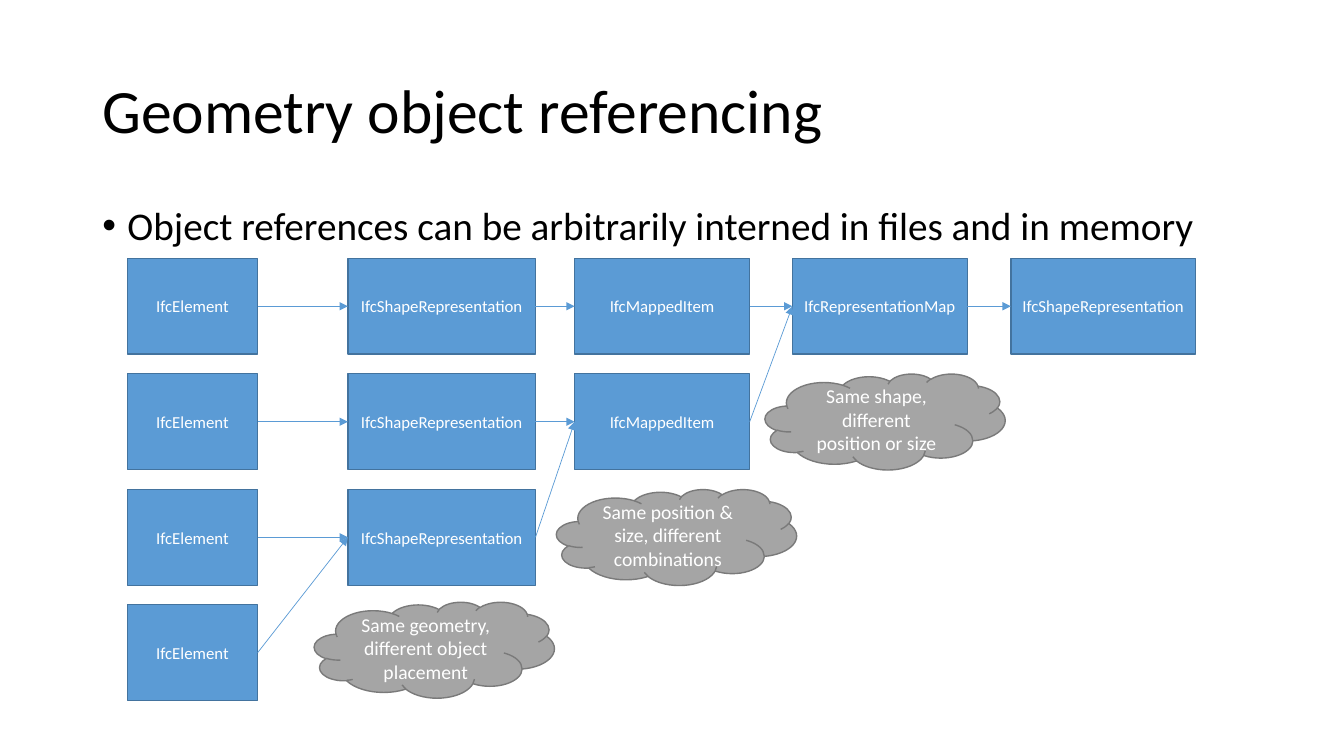
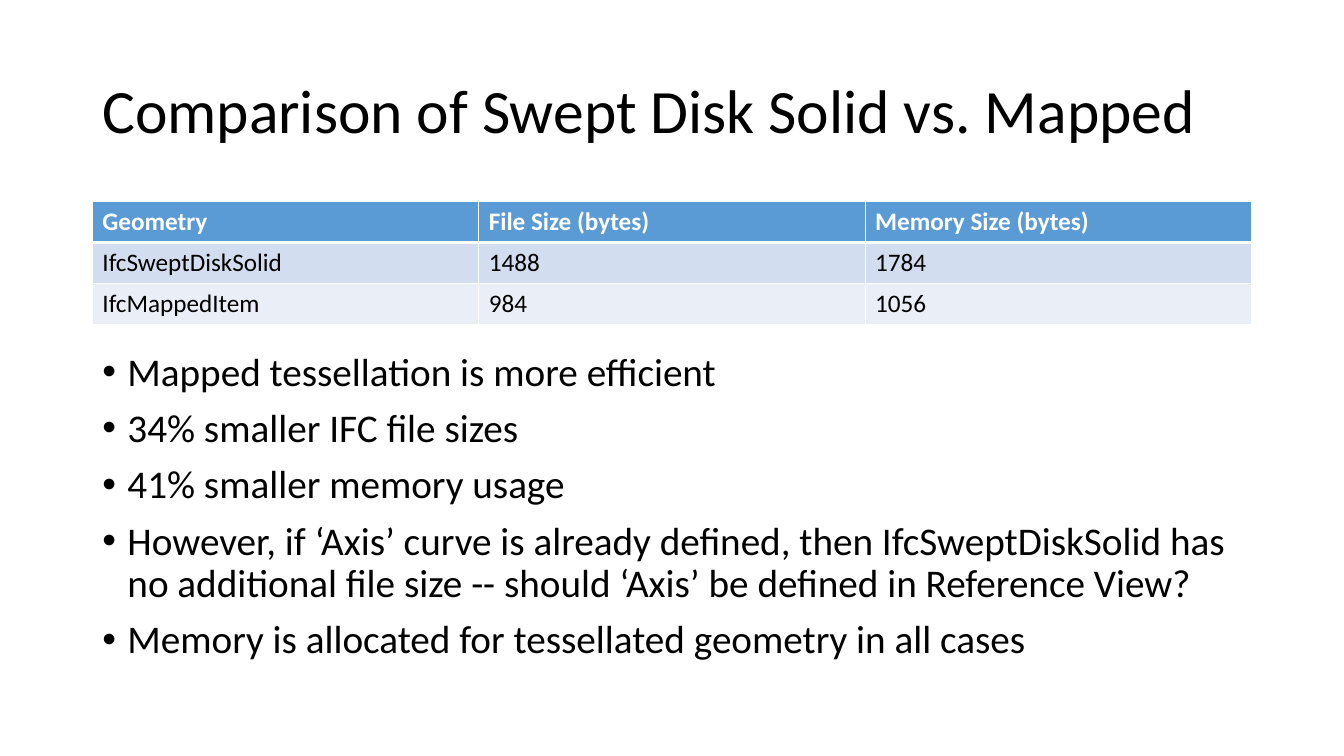
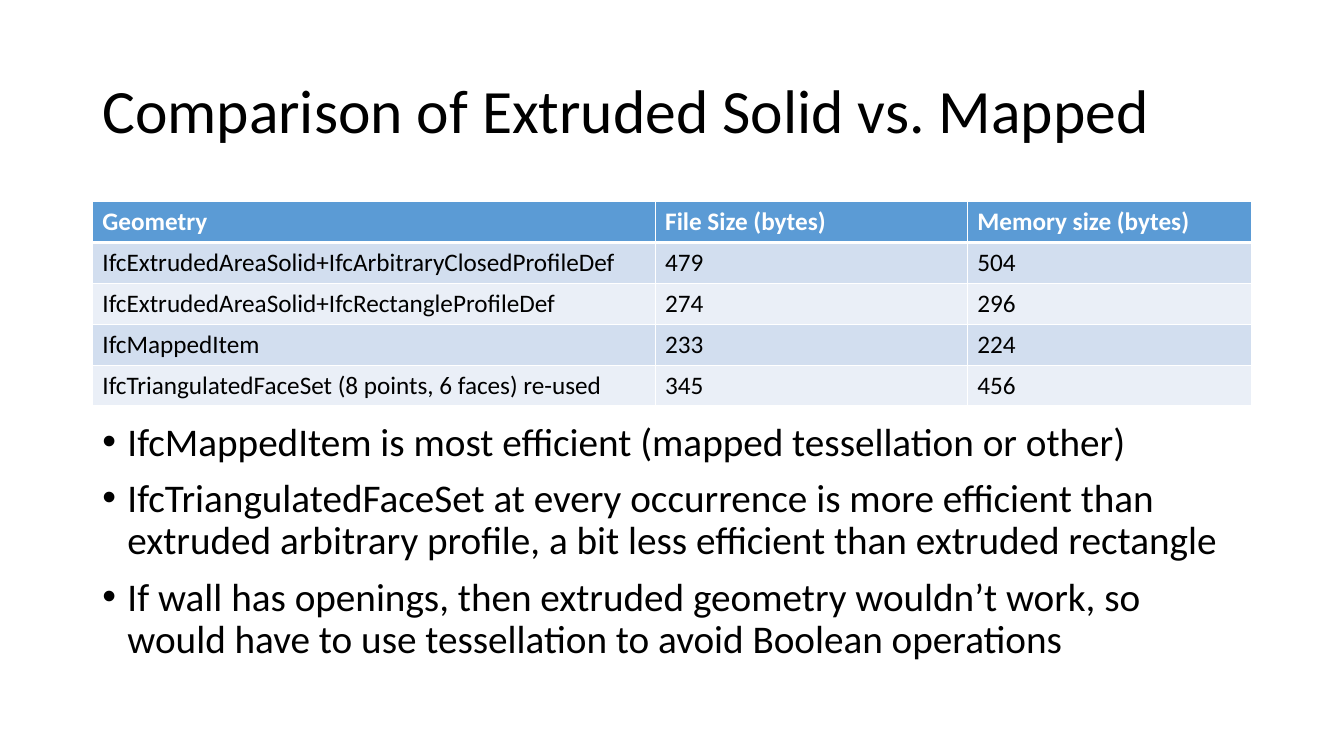
from collections import namedtuple

from lxml import etree
from pptx import Presentation
from pptx.dml.color import RGBColor
from pptx.enum.shapes import MSO_CONNECTOR, MSO_SHAPE
from pptx.enum.text import MSO_ANCHOR, PP_ALIGN
from pptx.oxml.ns import qn
from pptx.util import Pt

RECTANGLE, CLOUD = MSO_SHAPE.RECTANGLE, MSO_SHAPE.CLOUD
STRAIGHT = MSO_CONNECTOR.STRAIGHT
TOP, MIDDLE = MSO_ANCHOR.TOP, MSO_ANCHOR.MIDDLE
LEFT, CENTER = PP_ALIGN.LEFT, PP_ALIGN.CENTER

Box = namedtuple("Box", "left top width height")

# Shared look
FONT = "Calibri"
BLACK, WHITE = "000000", "FFFFFF"
BLUE, DARK_BLUE = "5B9BD5", "43739E"
GRAY, DARK_GRAY = "A5A5A5", "7A7A7A"
BANDS = ("D2DEEF", "EAEFF7")
TITLE_BOX = Box(66, 28.8, 828, 104.4)
CONTENT_BOX = Box(66, 144, 828, 342.7)
ROW_HEIGHT = 29.2
RIGHT_SITE, LEFT_SITE = 3, 1


def color(value):
    return RGBColor.from_string(value)


def lengths(box):
    return [Pt(value) for value in box]


def add_span(para, text, size, ink, bold=False):
    span = para.add_run()
    span.text = text
    span.font.name = FONT
    span.font.size = Pt(size)
    span.font.bold = bold
    span.font.color.rgb = color(ink)


def add_paras(frame, lines, size, ink, align=LEFT, anchor=TOP):
    frame.word_wrap = True
    frame.vertical_anchor = anchor
    for index, line in enumerate(lines):
        para = frame.add_paragraph() if index else frame.paragraphs[0]
        para.alignment = align
        add_span(para, line, size, ink)
    return frame.paragraphs


def add_title(page, box, text):
    frame = page.shapes.add_textbox(*lengths(box)).text_frame
    for para in add_paras(frame, [text], 44, BLACK, anchor=MIDDLE):
        para.line_spacing = 0.9


def add_bullets(page, box, lines):
    frame = page.shapes.add_textbox(*lengths(box)).text_frame
    for para in add_paras(frame, lines, 28, BLACK):
        para.line_spacing = 0.9
        para.space_before = Pt(10)
        settings = para._p.get_or_add_pPr()
        settings.set("marL", str(Pt(18)))
        settings.set("indent", str(Pt(-18)))
        etree.SubElement(settings, qn("a:buFont"), typeface="Arial")
        etree.SubElement(settings, qn("a:buChar"), char="•")


def add_node(page, kind, box, lines, size, fill, outline):
    node = page.shapes.add_shape(kind, *lengths(box))
    node.shadow.inherit = False
    node.fill.solid()
    node.fill.fore_color.rgb = color(fill)
    node.line.color.rgb = color(outline)
    node.line.width = Pt(1)
    add_paras(node.text_frame, lines, size, WHITE, CENTER, MIDDLE)
    return node


def add_arrow(page, source, target):
    arrow = page.shapes.add_connector(STRAIGHT, 0, 0, 0, 0)
    arrow.begin_connect(source, RIGHT_SITE)
    arrow.end_connect(target, LEFT_SITE)
    arrow.line.color.rgb = color(BLUE)
    arrow.line.width = Pt(0.5)
    etree.SubElement(arrow.line._get_or_add_ln(), qn("a:tailEnd"), type="triangle")
    etree.SubElement(arrow._element.spPr, qn("a:effectLst"))


def add_reference_diagram(page, box):
    # Column name, offset and width
    columns = [
        ("IfcElement", 0, 93),
        ("IfcShapeRepresentation", 157.5, 134),
        ("IfcMappedItem", 319.5, 125),
        ("IfcRepresentationMap", 475, 125),
        ("IfcShapeRepresentation", 631, 132),
    ]
    row_lengths = [5, 3, 2, 1]
    node_height = 68.5
    pitch = (box.height - node_height) / (len(row_lengths) - 1)

    rows = []
    for row, count in enumerate(row_lengths):
        top = box.top + row * pitch
        rows.append([
            add_node(page, RECTANGLE, Box(box.left + offset, top, width, node_height),
                     [name], 12, BLUE, DARK_BLUE)
            for name, offset, width in columns[:count]
        ])

    # Each row runs to the right, and its end joins the row above
    for row, nodes in enumerate(rows):
        for source, target in zip(nodes, nodes[1:]):
            add_arrow(page, source, target)
        if row:
            add_arrow(page, nodes[-1], rows[row - 1][len(nodes)])

    # Clouds say what the rows share
    clouds = [
        (455.5, 82.5, ["Same shape, different position or size"]),
        (306.5, 165, ["Same position & size, different combinations"]),
        (133.5, 245.5, ["Same geometry,", "different object placement"]),
    ]
    for offset, drop, lines in clouds:
        cloud_box = Box(box.left + offset, box.top + drop, 171.5, node_height)
        add_node(page, CLOUD, cloud_box, lines, 14, GRAY, DARK_GRAY)


def set_borders(cell, top, bottom):
    settings = cell._tc.get_or_add_tcPr()
    widths = {"a:lnL": 1, "a:lnR": 1, "a:lnT": top, "a:lnB": bottom}
    for index, (tag, width) in enumerate(widths.items()):
        border = etree.Element(qn(tag), w=str(Pt(width)))
        fill = etree.SubElement(border, qn("a:solidFill"))
        etree.SubElement(fill, qn("a:srgbClr"), val=WHITE)
        settings.insert(index, border)


def add_size_table(page, box, widths, rows):
    table = page.shapes.add_table(len(rows), len(widths), *lengths(box)).table
    for column, width in zip(table.columns, widths):
        column.width = Pt(width)
    for row, values in enumerate(rows):
        header = row == 0
        table.rows[row].height = Pt(ROW_HEIGHT)
        for column, value in enumerate(values):
            cell = table.cell(row, column)
            cell.fill.solid()
            cell.fill.fore_color.rgb = color(BLUE if header else BANDS[(row - 1) % 2])
            set_borders(cell, 3 if row == 1 else 1, 3 if header else 1)
            add_span(cell.text_frame.paragraphs[0], value, 18,
                     WHITE if header else BLACK, header)


def add_page(deck, title):
    page = deck.slides.add_slide(deck.slide_layouts[6])
    add_title(page, TITLE_BOX, title)
    return page


def add_comparison(deck, title, widths, rows, bullets, bullet_top):
    page = add_page(deck, title)
    box = CONTENT_BOX
    add_size_table(page, box._replace(height=ROW_HEIGHT * len(rows)), widths, rows)
    bottom = box.top + box.height
    add_bullets(page, box._replace(top=bullet_top, height=bottom - bullet_top), bullets)


deck = Presentation()
deck.slide_width, deck.slide_height = Pt(960), Pt(540)

# Object referencing
referencing = add_page(deck, "Geometry object referencing")
add_bullets(referencing, CONTENT_BOX,
            ["Object references can be arbitrarily interned in files and in memory"])
add_reference_diagram(referencing, Box(91, 184.5, 763, 316))

# Swept disk solid
add_comparison(
    deck, "Comparison of Swept Disk Solid vs. Mapped", [276, 276, 276],
    [
        ("Geometry", "File Size (bytes)", "Memory Size (bytes)"),
        ("IfcSweptDiskSolid", "1488", "1784"),
        ("IfcMappedItem", "984", "1056"),
    ],
    [
        "Mapped tessellation is more efficient",
        "34% smaller IFC file sizes",
        "41% smaller memory usage",
        "However, if ‘Axis’ curve is already defined, then IfcSweptDiskSolid has "
        "no additional file size -- should ‘Axis’ be defined in Reference View?",
        "Memory is allocated for tessellated geometry in all cases",
    ],
    248)

# Extruded solid
add_comparison(
    deck, "Comparison of Extruded Solid vs. Mapped", [402, 223, 203],
    [
        ("Geometry", "File Size (bytes)", "Memory size (bytes)"),
        ("IfcExtrudedAreaSolid+IfcArbitraryClosedProfileDef", "479", "504"),
        ("IfcExtrudedAreaSolid+IfcRectangleProfileDef", "274", "296"),
        ("IfcMappedItem", "233", "224"),
        ("IfcTriangulatedFaceSet (8 points, 6 faces) re-used", "345", "456"),
    ],
    [
        "IfcMappedItem is most efficient (mapped tessellation or other)",
        "IfcTriangulatedFaceSet at every occurrence is more efficient than "
        "extruded arbitrary profile, a bit less efficient than extruded rectangle",
        "If wall has openings, then extruded geometry wouldn’t work, so "
        "would have to use tessellation to avoid Boolean operations",
    ],
    298)

deck.save("out.pptx")
